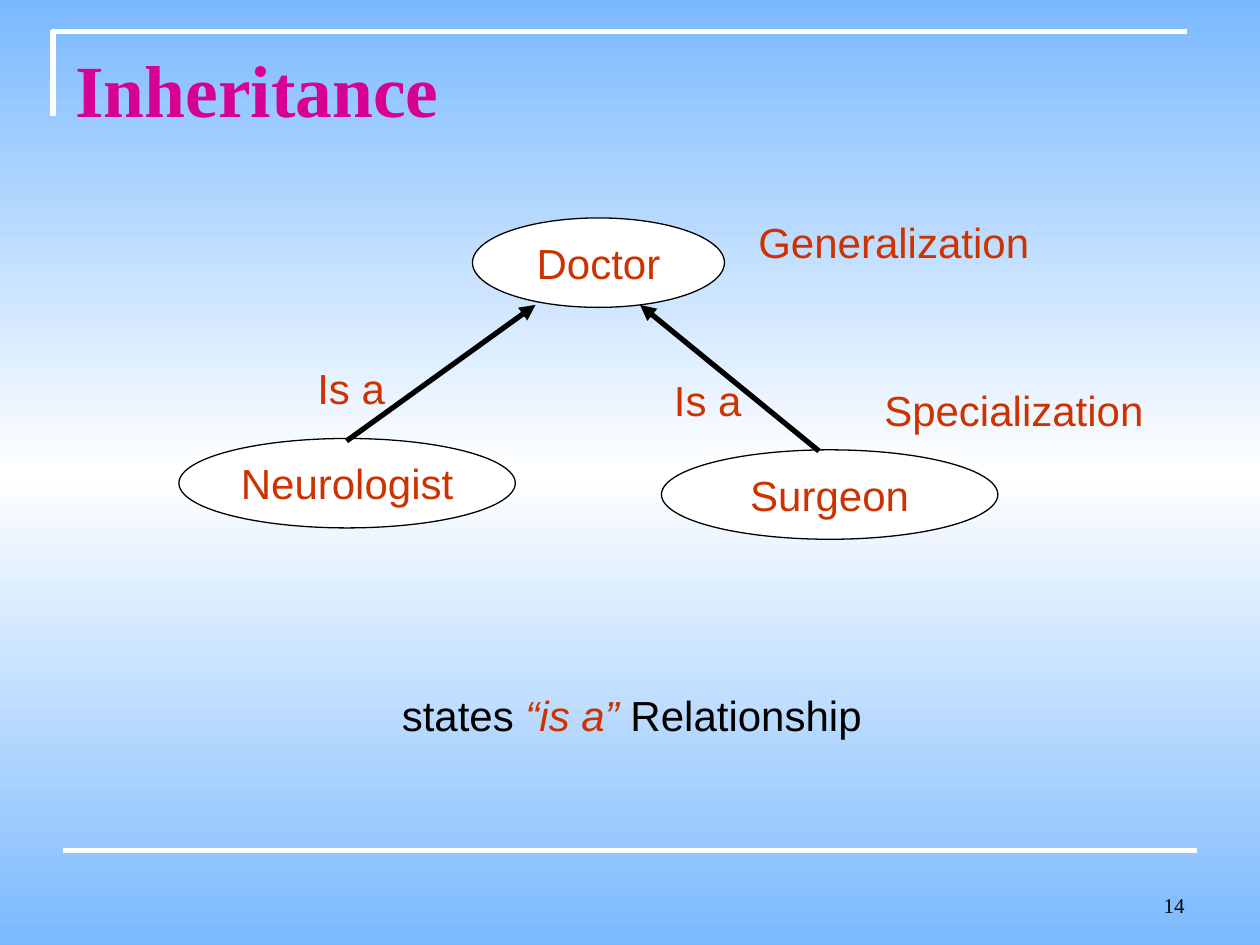
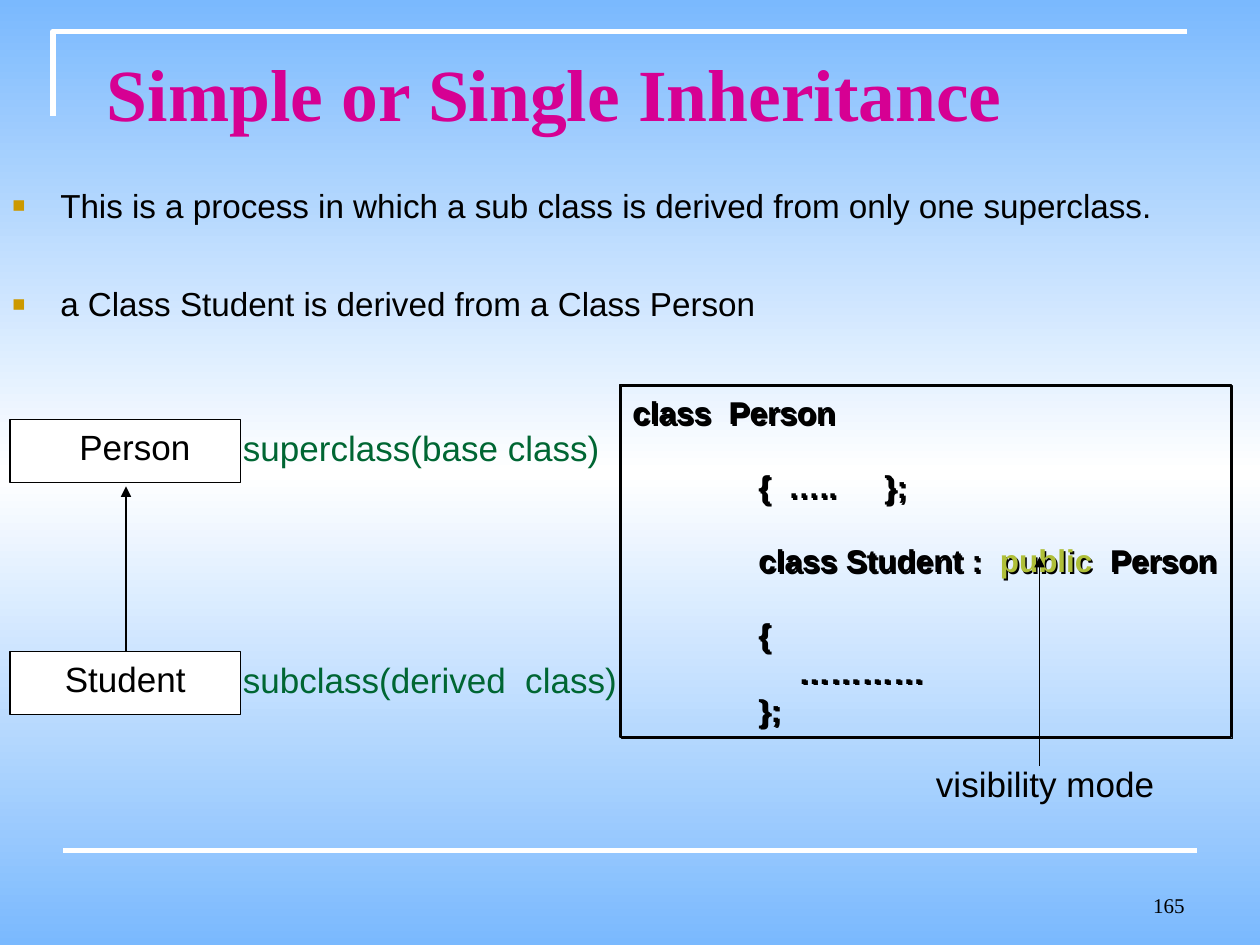
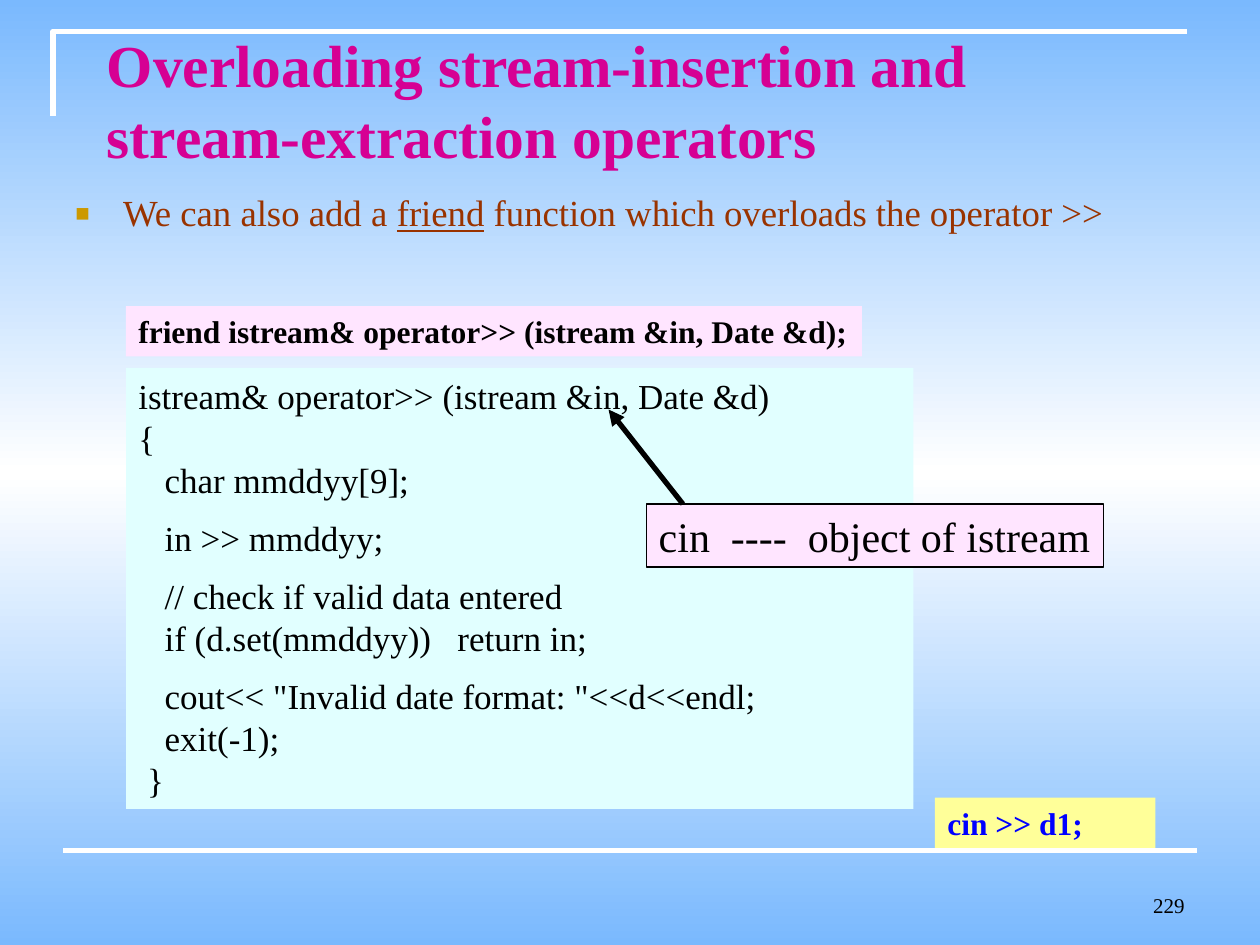
from copy import deepcopy

from lxml import etree
from pptx import Presentation
from pptx.dml.color import RGBColor
from pptx.enum.shapes import MSO_CONNECTOR, MSO_SHAPE
from pptx.enum.text import MSO_ANCHOR, PP_ALIGN
from pptx.oxml.ns import qn
from pptx.util import Inches, Pt

OVAL, RECT = MSO_SHAPE.OVAL, MSO_SHAPE.RECTANGLE
TOP, MID, LOW = MSO_ANCHOR.TOP, MSO_ANCHOR.MIDDLE, MSO_ANCHOR.BOTTOM
LEFT, MIDST, RIGHT = PP_ALIGN.LEFT, PP_ALIGN.CENTER, PP_ALIGN.RIGHT
STRAIGHT = MSO_CONNECTOR.STRAIGHT

SKY, WHITE, BLACK = "7AB9FE", "FFFFFF", "000000"
PINK, RED, GREEN = "D60093", "CC3300", "006633"
BROWN, GOLD, OLIVE, BLUE = "993300", "CC9900", "AFBF39", "0000FF"
ROSE, AQUA, LEMON = "FFE5FF", "E1FFFF", "FFFF99"
SANS, SERIF = "Arial", "Times New Roman"
color = RGBColor.from_string


def put(slide, at, lines, size, hue=BLACK, font=SANS, bold=False, kind=None,
        fill=None, edge=None, align=LEFT, anchor=TOP, wrap=True):
    """Add a text box, or a shape of the given kind; "|" parts the runs of a line."""
    place = [Inches(n) for n in at]
    if kind is None:
        box = slide.shapes.add_textbox(*place)
    else:
        box = slide.shapes.add_shape(kind, *place)
        box.shadow.inherit = False
        if fill:
            box.fill.solid()
            box.fill.fore_color.rgb = color(fill)
        else:
            box.fill.background()
        if edge:
            box.line.color.rgb = color(edge)
            box.line.width = Pt(0.75)
        else:
            box.line.fill.background()
    frame = box.text_frame
    frame.word_wrap = wrap
    frame.vertical_anchor = anchor
    frame.text = "\n".join(lines)
    for para, line in zip(frame.paragraphs, lines):
        para.alignment = align
        first, *rest = line.split("|")
        para.text = first
        for part in rest:
            para.add_run().text = part
        for run in para.runs:
            run.font.size = Pt(size)
            run.font.name = font
            run.font.bold = bold
            run.font.color.rgb = color(hue)
    return box


def draw(slide, start, end, width, hue=BLACK, head=True):
    """Add a straight line, with an arrowhead at its end if head is set."""
    line = slide.shapes.add_connector(STRAIGHT, *[Inches(n) for n in start + end])
    line.line.color.rgb = color(hue)
    line.line.width = Pt(width)
    if head:
        etree.SubElement(line.line._get_or_add_ln(), qn("a:tailEnd"), type="triangle")
    etree.SubElement(line._element.spPr, qn("a:effectLst"))


prs = Presentation()
prs.slide_width, prs.slide_height = Inches(10), Inches(7.5)

# Shared background: blue fading to white in the middle
back = prs.slide_master.background.fill
back.gradient()
back.gradient_angle = 90
stops = next(prs.slide_master.element.iter(qn("a:gsLst")))
stops.append(deepcopy(stops[-1]))
for stop, spot, hue in zip(back.gradient_stops, (0, 0.5, 1), (SKY, WHITE, SKY)):
    stop.position = spot
    stop.color.rgb = color(hue)

# Shared frame, title and page number
heads = [
    ("Inheritance", (0.5, 0.3, 9, 1.25), 42, TOP, "14"),
    ("Simple or Single Inheritance", (0.75, 0.3, 8.75, 0.87), 42, MID, "165"),
    ("Overloading stream-insertion and stream-extraction operators",
     (0.75, 0.17, 8.33, 1.33), 34, TOP, "229"),
]
slides = []
for title, at, size, anchor, page in heads:
    slide = prs.slides.add_slide(prs.slide_layouts[6])
    pen = slide.shapes.build_freeform(Inches(0.42), Inches(0.92))
    pen.add_line_segments([(Inches(0.42), Inches(0.25)), (Inches(9.42), Inches(0.25))],
                          close=False)
    corner = pen.convert_to_shape()
    corner.shadow.inherit = False
    corner.fill.background()
    corner.line.color.rgb = color(WHITE)
    corner.line.width = Pt(3)
    draw(slide, (0.5, 6.75), (9.5, 6.75), 3, WHITE, head=False)
    put(slide, (7.17, 6.83, 2.33, 0.5), [page], 12, font=SERIF, align=RIGHT, anchor=LOW)
    put(slide, at, [title], size, PINK, SERIF, bold=True, anchor=anchor)
    slides.append(slide)
tree, single, stream = slides

# Inheritance tree
for name, at in [("Doctor", (3.75, 1.73, 2, 0.71)),
                 ("Neurologist", (1.42, 3.48, 2.67, 0.71)),
                 ("Surgeon", (5.25, 3.57, 2.67, 0.71))]:
    put(tree, at, [name], 24, RED, kind=OVAL, fill=WHITE, edge=BLACK,
        align=MIDST, anchor=MID, wrap=False)
draw(tree, (2.75, 3.5), (4.25, 2.42), 3)
draw(tree, (6.5, 3.58), (5.08, 2.42), 3)
states = put(tree, (3.09, 5.42, 3.85, 0.5), ["states |“is a” |Relationship"], 24, wrap=False)
quote = states.text_frame.paragraphs[0].runs[1].font
quote.italic = True
quote.color.rgb = color(RED)
for label, left, top, width in [("Generalization", 5.92, 1.67, 2.92),
                                ("Specialization", 6.92, 3, 2.67),
                                ("Is a", 2.42, 2.83, 0.75),
                                ("Is a", 5.25, 2.92, 0.75)]:
    put(tree, (left, top, width, 0.5), [label], 24, RED, wrap=width > 1)

# Bulleted text of the other two slides
facts = put(single, (0, 1.42, 9.58, 1.6), [
    "This is a process in which a sub class is derived from only one superclass.",
    "a Class Student is derived from a Class Person"], 19)
facts.text_frame.paragraphs[1].space_before = Pt(33.5)
note = put(stream, (0.5, 1.5, 8.83, 0.92), [
    "We can also add a |friend| function which overloads the operator >>"],
    21, BROWN, SERIF)
note.text_frame.paragraphs[0].line_spacing = 0.9
note.text_frame.paragraphs[0].runs[1].font.underline = True
for para in [*facts.text_frame.paragraphs, *note.text_frame.paragraphs]:
    props = para._p.get_or_add_pPr()
    props.set("marL", str(Inches(0.38)))
    props.set("indent", str(-Inches(0.38)))
    tint = etree.SubElement(props, qn("a:buClr"))
    etree.SubElement(tint, qn("a:srgbClr"), val=GOLD)
    etree.SubElement(props, qn("a:buSzPct"), val="65000")
    etree.SubElement(props, qn("a:buFont"), typeface=SANS)
    etree.SubElement(props, qn("a:buChar"), char="■")

# Single inheritance: class boxes
for name, role, top, width, inset in [
        ("Person", "superclass(base class)", 3.33, 3.18, 0.25),
        ("Student", "subclass(derived  class)", 5.17, 3.24, 0.1)]:
    box = put(single, (0.08, top, 1.83, 0.5), [name], 20, kind=RECT, fill=WHITE,
              edge=BLACK, align=MIDST)
    box.text_frame.margin_left = Inches(inset)
    put(single, (1.83, top, width, 0.44), [role], 20, GREEN, anchor=MID, wrap=False)
draw(single, (1, 5.17), (1, 3.86), 0.75)

# Single inheritance: code with a hard shadow
code = put(single, (4.92, 3.05, 4.85, 2.8), [
    "class  Person",
    "\t{  …..\t};",
    "\tclass Student :  |public|  Person",
    "\t{",
    "                   …………",
    "     \t};"], 18, bold=True, kind=RECT, edge=BLACK, anchor=MID)
paras = code.text_frame.paragraphs
for para in paras[1:4]:
    para.space_before = Pt(20.7)
for para in paras:
    tabs = etree.SubElement(para._p.get_or_add_pPr(), qn("a:tabLst"))
    for stop in (1, 2):
        etree.SubElement(tabs, qn("a:tab"), pos=str(Inches(stop)), algn="l")
paras[2].runs[1].font.color.rgb = color(OLIVE)
effects = code._element.spPr.find(qn("a:effectLst"))
shade = etree.SubElement(effects, qn("a:outerShdw"), dist=str(Pt(1.4)), dir="2700000",
                         algn="ctr", rotWithShape="0")
etree.SubElement(shade, qn("a:srgbClr"), val=BLACK)
put(single, (7.33, 6, 2.01, 0.44), ["visibility mode"], 20, anchor=MID, wrap=False)
draw(single, (8.25, 6.08), (8.25, 4.42), 0.75)

# Stream operators
body = put(stream, (1, 2.92, 6.25, 3.5), [
    "istream& operator>> (istream &in, Date &d)",
    "{",
    "   char mmddyy[9];",
    "   in >> mmddyy;",
    "   // check if valid data entered",
    "   if (d.set(mmddyy))   return in;",
    '   cout<< "Invalid date format: "<<d<<endl;',
    "   exit(-1);",
    " }"], 20, font=SERIF, kind=RECT, fill=AQUA)
for step in (3, 4, 6):
    body.text_frame.paragraphs[step].space_before = Pt(9.2)
put(stream, (1, 2.43, 5.84, 0.4), ["friend istream& operator>> (istream &in, Date &d);"],
    18, font=SERIF, bold=True, kind=RECT, fill=ROSE, wrap=False)
put(stream, (5.13, 4, 3.63, 0.5), ["cin  ----  object of istream"], 24, font=SERIF,
    kind=RECT, fill=ROSE, edge=BLACK, wrap=False)
draw(stream, (5.42, 4), (4.83, 3.25), 3)
put(stream, (7.42, 6.33, 1.75, 0.4), ["cin >> d1;"], 18, BLUE, SERIF, bold=True,
    kind=RECT, fill=LEMON)

prs.save("out.pptx")
